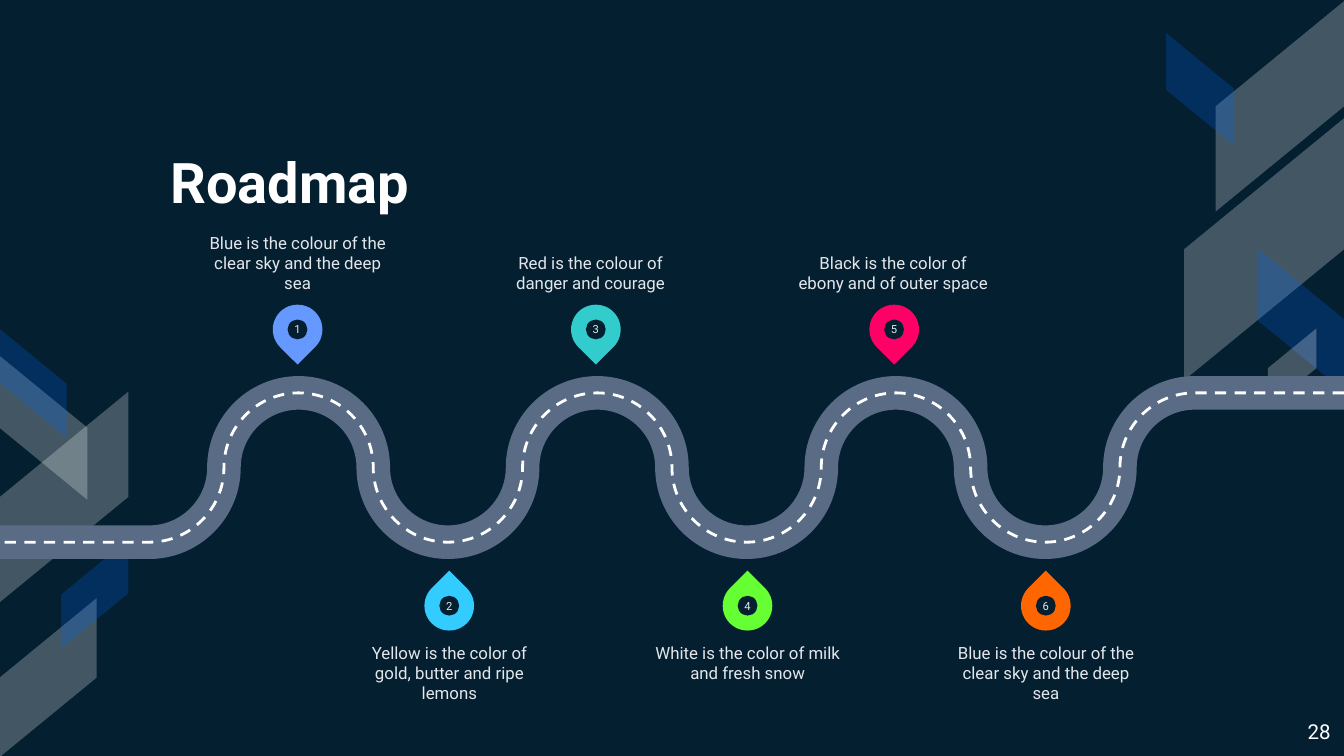
from lxml import etree
from pptx import Presentation
from pptx.dml.color import RGBColor
from pptx.enum.dml import MSO_LINE
from pptx.enum.shapes import MSO_SHAPE
from pptx.enum.text import MSO_ANCHOR, PP_ALIGN
from pptx.oxml.ns import qn
from pptx.util import Pt

FONT = "Roboto"
COLORS = {
    "night": "041F30", "white": "FFFFFF", "pale": "E3E7EC", "blue": "0066FF",
    "road": "5A6B85", "periwinkle": "6699FF", "sky": "33CCFF", "teal": "33CCCC",
    "green": "66FF33", "pink": "FF0066", "orange": "FF6600",
}
ALPHA = {"white": 25, "blue": 23}
BANDS = [
    (629.3, 22.3, 113, 69.1, 90, True, "white"),
    (607, 90.7, 140.4, 85.7, 90, True, "white"),
    (658.8, 148.3, 76.3, 46.1, 270, False, "blue"),
    (612.7, 29.5, 60.5, 36.7, 270, False, "blue"),
    (671, 184.3, 42.5, 25.9, 270, True, "white"),
    (-22.3, 231.8, 113, 69.1, 90, True, "white"),
    (-15.1, 205.9, 77, 46.8, 90, False, "white"),
    (-16.6, 337, 85, 51.8, 270, True, "white"),
    (-11.5, 187.2, 58.3, 36, 270, False, "blue"),
    (21.6, 300.2, 58.3, 36, 270, True, "blue"),
]
MILESTONES = [
    ("Blue is the colour of the clear sky and the deep sea", "periwinkle", 0),
    ("Yellow is the color of gold, butter and ripe lemons", "sky", 0),
    ("Red is the colour of danger and courage", "teal", -2.9),
    ("White is the color of milk and fresh snow", "green", 0),
    ("Black is the color of ebony and of outer space", "pink", -0.6),
    ("Blue is the colour of the clear sky and the deep sea", "orange", 0),
]
CURVE = 0.55
RADIUS = 40


def rgb(name):
    return RGBColor.from_string(COLORS[name])


def write(shape, text, size, color, align, anchor, inset=0, bold=False):
    frame = shape.text_frame
    frame.word_wrap = True
    frame.vertical_anchor = anchor
    frame.margin_left = frame.margin_right = Pt(inset)
    frame.margin_top = frame.margin_bottom = Pt(inset)
    paragraph = frame.paragraphs[0]
    paragraph.alignment = align
    run = paragraph.add_run()
    run.text = text
    run.font.name = FONT
    run.font.size = Pt(size)
    run.font.bold = bold
    run.font.color.rgb = rgb(color)


def add_filled(shapes, preset, box, color, rotation=0):
    shape = shapes.add_shape(preset, *map(Pt, box))
    shape.shadow.inherit = False
    shape.fill.solid()
    shape.fill.fore_color.rgb = rgb(color)
    shape.line.fill.background()
    shape.rotation = rotation
    return shape


def add_text(slide, box, *style, **options):
    write(slide.shapes.add_textbox(*map(Pt, box)), *style, **options)


def add_bands(slide, left, top):
    for x, y, width, height, rotation, flipped, color in BANDS:
        box = (left + x, top + y, width, height)
        band = add_filled(slide.shapes, MSO_SHAPE.PARALLELOGRAM, box, color, rotation)
        band.adjustments[0] = 0.819
        if flipped:
            band._element.spPr.find(qn("a:xfrm")).set("flipH", "1")
        fill = band._element.spPr.find(qn("a:solidFill"))[0]
        etree.SubElement(fill, qn("a:alpha")).set("val", str(ALPHA[color] * 1000))


def add_title(slide, left, top, width, height):
    title = slide.shapes.title
    title.left, title.top, title.width, title.height = map(Pt, (left, top, width, height))
    write(title, "Roadmap", 30, "white", PP_ALIGN.LEFT, MSO_ANCHOR.BOTTOM, inset=7.2, bold=True)


def bend(line, start, end, leaves_level):
    (x0, y0), (x1, y1) = start, end
    dx, dy = CURVE * (x1 - x0), CURVE * (y1 - y0)
    if leaves_level:
        controls = [(x0 + dx, y0), (x1, y1 - dy)]
    else:
        controls = [(x0, y0 + dy), (x1 - dx, y1)]
    line.tag = qn("a:cubicBezTo")
    for index, (x, y) in enumerate(controls):
        point = etree.Element(qn("a:pt"))
        point.set("x", str(Pt(x)))
        point.set("y", str(Pt(y)))
        line.insert(index, point)


def add_curved_line(slide, left, top, width, color, weight, dash=None):
    levels = [0, RADIUS, 2 * RADIUS, RADIUS]
    turns = [(width - RADIUS * (i + 2), levels[i % 4]) for i in range(15)]
    points = [(width, 0), *turns, (0, 2 * RADIUS)]
    builder = slide.shapes.build_freeform(Pt(width), 0)
    builder.add_line_segments([(Pt(x), Pt(y)) for x, y in points[1:]], close=False)
    road = builder.convert_to_shape(Pt(left), Pt(top))
    road.shadow.inherit = False
    road.fill.background()
    road.line.color.rgb = rgb(color)
    road.line.width = Pt(weight)
    if dash:
        road.line.dash_style = dash
    lines = list(road._element.iter(qn("a:lnTo")))
    for index, line in enumerate(lines[1:-1]):
        new_line = etree.SubElement(line.getparent(), qn("a:cubicBezTo"))
        line.addprevious(new_line)
        new_line.append(line[0])
        line.getparent().remove(line)
        bend(new_line, turns[index], turns[index + 1], index % 2 == 0)


def add_road(slide, left, top, width):
    add_curved_line(slide, left, top, width, "road", 18)
    add_curved_line(slide, left, top, width, "white", 1.5, MSO_LINE.DASH)


def add_pin(slide, center_x, center_y, number, color, rotation):
    def centered(size):
        return center_x - size / 2, center_y - size / 2, size, size

    pin = slide.shapes.add_group_shape()
    add_filled(pin.shapes, MSO_SHAPE.TEAR, centered(26.6), color, rotation)
    dot = add_filled(pin.shapes, MSO_SHAPE.OVAL, centered(10.6), "night")
    write(dot, str(number), 6, "pale", PP_ALIGN.CENTER, MSO_ANCHOR.MIDDLE)


def add_milestones(slide, left, top):
    caption_width, caption_height = 101.5, 41.8
    for index, (caption, color, shift) in enumerate(MILESTONES):
        above = index % 2 == 0
        center_x = left + 159.8 * (index // 2) + (0 if above else 81.3)
        pin_y, caption_y, rotation, anchor = (
            (61.3, 0, 135, MSO_ANCHOR.BOTTOM) if above
            else (209.3, 229, 315, MSO_ANCHOR.TOP)
        )
        add_pin(slide, center_x, top + pin_y, index + 1, color, rotation)
        box = (center_x + shift - caption_width / 2, top + caption_y,
               caption_width, caption_height)
        add_text(slide, box, caption, 9, "pale", PP_ALIGN.CENTER, anchor)


def build_roadmap(presentation):
    slide = presentation.slides.add_slide(presentation.slide_layouts[5])
    slide.background.fill.solid()
    slide.background.fill.fore_color.rgb = rgb("night")
    add_bands(slide, 0, 0)
    add_title(slide, 84.2, 72, 470.2, 50.4)
    add_text(slide, (673.9, 378.7, 46.1, 25.9), "28", 11, "white",
             PP_ALIGN.RIGHT, MSO_ANCHOR.TOP, inset=7.2)
    add_road(slide, 0, 210.5, 720)
    add_milestones(slide, 159.4, 115.2)


presentation = Presentation()
presentation.slide_width = Pt(720)
presentation.slide_height = Pt(405)
build_roadmap(presentation)
presentation.save("out.pptx")
